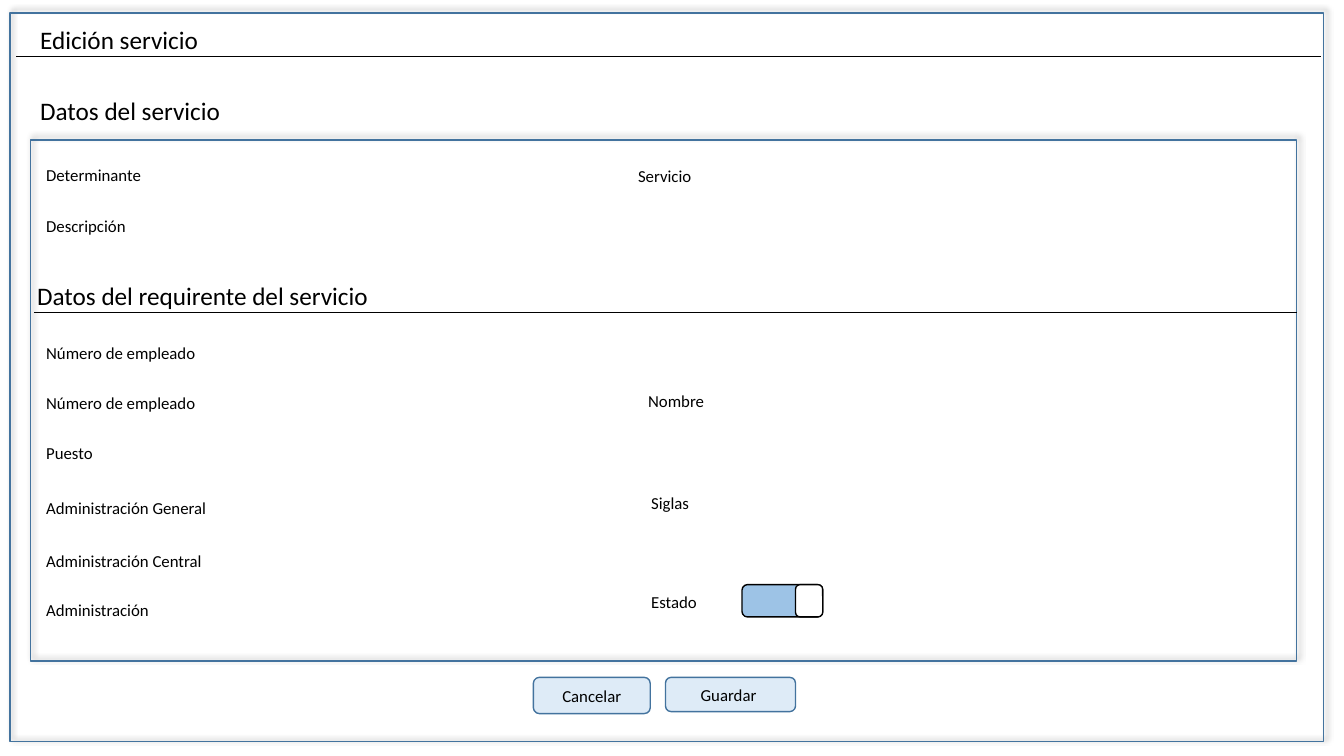
"""Builds the service editing form as one slide."""
from lxml import etree
from pptx import Presentation
from pptx.dml.color import RGBColor
from pptx.enum.shapes import MSO_CONNECTOR, MSO_SHAPE as SHAPE
from pptx.enum.text import MSO_ANCHOR, MSO_AUTO_SIZE, PP_ALIGN
from pptx.oxml import parse_xml
from pptx.oxml.ns import nsdecls, qn
from pptx.util import Inches, Pt

BLACK, BLUE, PALE, SKY, WHITE = "000000", "43739E", "DEEBF7", "9DC3E6", "FFFFFF"
SHADOW = (
    f'<a:effectLst {nsdecls("a")}><a:outerShdw blurRad="50800" dist="38100" '
    'dir="18900000" algn="bl" rotWithShape="0"><a:srgbClr val="000000">'
    '<a:alpha val="40000"/></a:srgbClr></a:outerShdw></a:effectLst>'
)

deck = Presentation()
deck.slide_width, deck.slide_height = Inches(13.33), Inches(7.5)
slide = deck.slides.add_slide(deck.slide_layouts[6])
shapes = slide.shapes


def paint(form, color):
    form.solid() if hasattr(form, "solid") else form.fill.solid()
    fore = form.fore_color if hasattr(form, "fore_color") else form.fill.fore_color
    fore.rgb = RGBColor.from_string(color)


def write(frame, text, size=12, align=PP_ALIGN.LEFT, anchor=MSO_ANCHOR.TOP):
    frame.word_wrap = True
    frame.vertical_anchor = anchor
    para = frame.paragraphs[0]
    para.alignment = align
    run = para.add_run()
    run.text = text
    run.font.name, run.font.size = "Calibri", Pt(size)
    paint(run.font, BLACK)


for left, top, width, height in [(0.1, 0.13, 13.03, 7.23), (0.3, 1.39, 12.56, 5.17)]:
    panel = shapes.add_shape(SHAPE.RECTANGLE, *map(Inches, (left, top, width, height)))
    panel.fill.background()
    paint(panel.line, BLUE)
    panel.line.width = Pt(1)
    panel._element.spPr.append(parse_xml(SHADOW))

for left, right, top in [(0.16, 13.1, 0.56), (0.34, 12.86, 3.1)]:
    rule = shapes.add_connector(
        MSO_CONNECTOR.STRAIGHT, Inches(left), Inches(top), Inches(right), Inches(top))
    paint(rule.line, BLACK)
    rule.line.width = Pt(0.5)
    etree.SubElement(rule._element.spPr, qn("a:effectLst"))

heads = [
    ("Edición servicio", 0.3, 0.19),
    ("Datos del servicio", 0.3, 0.9),
    ("Datos del requirente del servicio", 0.27, 2.73),
]
labels = [
    ("Determinante", 0.36, 1.59),
    ("Servicio", 6.23, 1.6),
    ("Descripción", 0.36, 2.09),
    ("Número de empleado", 0.36, 3.35),
    ("Número de empleado", 0.36, 3.85),
    ("Nombre", 6.33, 3.83),
    ("Puesto", 0.36, 4.34),
    ("Administración General", 0.36, 4.89),
    ("Siglas", 6.36, 4.84),
    ("Administración Central", 0.36, 5.41),
    ("Administración", 0.36, 5.9),
    ("Estado", 6.36, 5.82),
]
for group, size, width, height in [(heads, 18, 3.81, 0.4), (labels, 12, 3.37, 0.3)]:
    for text, left, top in group:
        box = shapes.add_textbox(*map(Inches, (left, top, width, height)))
        write(box.text_frame, text, size=size)
        box.text_frame.auto_size = MSO_AUTO_SIZE.SHAPE_TO_FIT_TEXT

pills = [
    ("Cancelar", 5.29, 6.72, 1.16, 0.36, PALE, BLUE),
    ("Guardar ", 6.6, 6.72, 1.29, 0.34, PALE, BLUE),
    ("", 7.36, 5.8, 0.8, 0.32, SKY, BLACK),
    ("", 7.89, 5.8, 0.27, 0.32, WHITE, BLACK),
]
for text, left, top, width, height, fill, edge in pills:
    pill = shapes.add_shape(
        SHAPE.ROUNDED_RECTANGLE, *map(Inches, (left, top, width, height)))
    pill.shadow.inherit = False
    paint(pill.fill, fill)
    paint(pill.line, edge)
    pill.line.width = Pt(1)
    if text:
        write(pill.text_frame, text, align=PP_ALIGN.CENTER, anchor=MSO_ANCHOR.MIDDLE)

deck.save("out.pptx")
